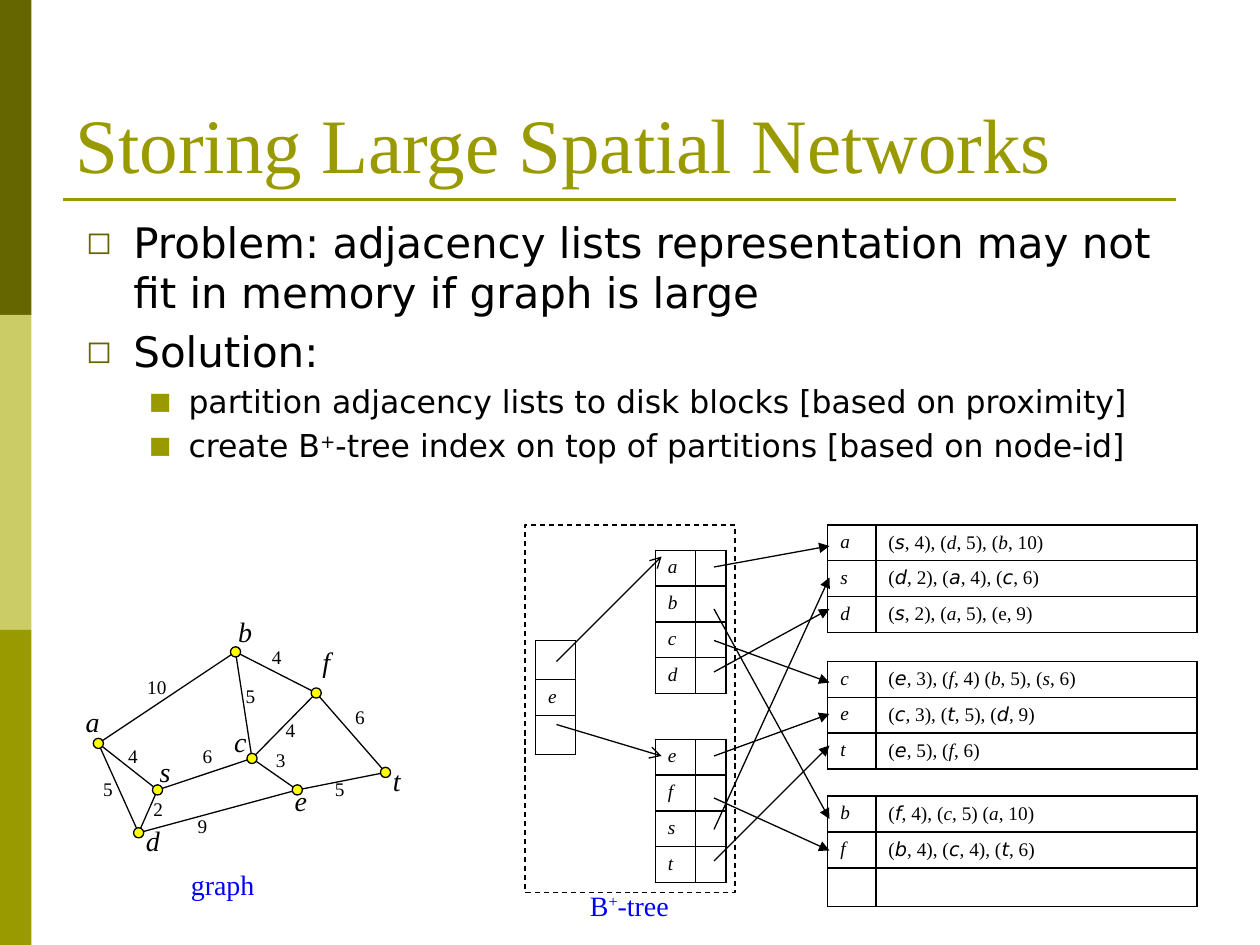
"""Build a slide on storing large spatial networks with a B+-tree index."""
from dataclasses import dataclass
from math import hypot
from typing import NamedTuple

from lxml import etree
from pptx import Presentation
from pptx.dml.color import RGBColor
from pptx.enum import dml, shapes, text
from pptx.oxml import ns
from pptx.util import Pt


@dataclass(frozen=True)
class Theme:
    serif: str = "Times New Roman"
    sans: str = "DejaVu Sans"
    black: str = "000000"
    dark: str = "666600"
    pale: str = "CCCC66"
    olive: str = "999900"
    yellow: str = "FFFF00"
    blue: str = "0000FF"
    title: float = 44
    body: float = 24
    detail: float = 18
    label: float = 16
    small: float = 11
    thin: float = 0.75


class Node(NamedTuple):
    x: float
    y: float
    label_left: float
    label_top: float


class Edge(NamedTuple):
    ends: str
    weight: str
    left: float
    top: float


class Bullet(NamedTuple):
    level: int
    content: str


class Grid(NamedTuple):
    left: float
    top: float
    columns: list
    rows: list


class Arrow(NamedTuple):
    start: tuple
    end: tuple
    head: str


THEME = Theme()
RADIUS = 2.9
ROW, EMPTY_ROW = 20.4, 22.3

NODES = {
    "a": Node(56.2, 424.8, 41.8, 399), "b": Node(134.6, 372.5, 129, 347.8),
    "c": Node(144, 433.4, 126.7, 410.4), "d": Node(79.2, 475.9, 76.3, 467.3),
    "e": Node(169.9, 451.4, 161.3, 444.2), "f": Node(180.7, 396, 177.1, 365),
    "s": Node(90, 451.4, 84.2, 427.7), "t": Node(220.3, 441.4, 217.4, 432.7),
}
EDGES = [
    Edge("ab", "10", 77, 382.3), Edge("as", "4", 66.2, 421.9), Edge("ad", "5", 51.8, 440.6),
    Edge("de", "9", 105.8, 461.5), Edge("ds", "2", 80.6, 452.2), Edge("sc", "6", 108.7, 421.9),
    Edge("bc", "5", 133.2, 387.4), Edge("bf", "4", 148.3, 365), Edge("cf", "4", 156.2, 406.8),
    Edge("ce", "3", 150.5, 424.1), Edge("et", "5", 184.3, 440.6), Edge("ft", "6", 195.8, 399.6),
]
BULLETS = [
    Bullet(0, "Problem: adjacency lists representation may not fit in memory if graph is large"),
    Bullet(0, "Solution:"),
    Bullet(1, "partition adjacency lists to disk blocks [based on proximity]"),
    Bullet(1, "create B|^+|-tree index on top of partitions [based on node-id]"),
]
BLOCK_COLUMNS, LEAF_COLUMNS = [27.5, 183.5], [23, 16.5]
GRIDS = [
    Grid(473, 300, BLOCK_COLUMNS, [
        ["*a", "(|_s|, 4), (|*d|, 5), (|*b|, 10)"],
        ["*s", "(|_d|, 2), (|_a|, 4), (|_c|, 6)"],
        ["*d", "(|_s|, 2), (|*a|, 5), (e, 9)"]]),
    Grid(473, 378, BLOCK_COLUMNS, [
        ["*c", "(|_e|, 3), (|*f|, 4) (|*b|, 5), (|*s|, 6)"],
        ["*e", "(|_c|, 3), (|_t|, 5), (|_d|, 9)"],
        ["*t", "(|_e|, 5), (|*f|, 6)"]]),
    Grid(473, 455, BLOCK_COLUMNS, [
        ["*b", "(|_f|, 4), (|*c|, 5) (|*a|, 10)"],
        ["*f", "(|_b|, 4), (|_c|, 4), (|_t|, 6)"],
        ["", ""]]),
    Grid(374.5, 314.5, LEAF_COLUMNS, [["*" + key, ""] for key in "abcd"]),
    Grid(374.5, 422.5, LEAF_COLUMNS, [["*" + key, ""] for key in "efst"]),
    Grid(306, 366, LEAF_COLUMNS[:1], [[""], ["*e"], [""]]),
]
ROOT_ARROWS = [Arrow((318, 378), (378, 318), "arrow"), Arrow((318, 414), (378, 432), "arrow")]
LEAF_TO_BLOCK = [(324, 312), (348, 468), (366, 390), (384, 348),
                 (432, 408), (456, 486), (474, 330), (492, 426)]
LEAF_ARROWS = [Arrow((408, y), (474, target), "triangle") for y, target in LEAF_TO_BLOCK]


def color(value: str) -> RGBColor:
    """Turn a hex value into a colour."""
    return RGBColor.from_string(value)


def child(parent, tag: str, **attributes: str):
    """Append a DrawingML element."""
    return etree.SubElement(parent, ns.qn(tag), attributes)


def write(paragraph, content: str, *, size: float, font: str = THEME.serif,
          fill: str = THEME.black, italic: bool = False) -> None:
    """Write runs split by bars: * is italic, _ is sans italic, ^ is superscript."""
    for part in filter(None, content.split("|")):
        mark = part[0] if part[0] in "*_^" else ""
        run = paragraph.add_run()
        run.text = part[len(mark):]
        run.font.size = Pt(size)
        run.font.name = THEME.sans if mark == "_" else font
        run.font.italic = italic or mark in ("*", "_")
        run.font.color.rgb = color(fill)
        if mark == "^":
            run.font._element.set("baseline", "30000")
    if not content:
        paragraph._p.get_or_add_endParaRPr().set("sz", str(int(size * 100)))


def place(shape, left: float, top: float, width: float, height: float) -> None:
    """Move and size a shape."""
    shape.left, shape.top, shape.width, shape.height = map(Pt, (left, top, width, height))


def add_label(slide, content: str, left: float, top: float, width: float, height: float,
              **style) -> None:
    """Add a one-line label."""
    box = slide.shapes.add_textbox(*map(Pt, (left, top, width, height)))
    box.text_frame.word_wrap = False
    write(box.text_frame.paragraphs[0], content, **style)


def add_figure(slide, kind, left: float, top: float, width: float, height: float,
               fill: str = "", line: str = ""):
    """Add a preset shape with optional fill and outline."""
    shape = slide.shapes.add_shape(kind, *map(Pt, (left, top, width, height)))
    shape.shadow.inherit = False
    for part, value in ((shape.fill, fill), (shape.line.fill, line)):
        if value:
            part.solid()
            part.fore_color.rgb = color(value)
        else:
            part.background()
    if line:
        shape.line.width = Pt(THEME.thin)
    return shape


def add_line(slide, start: tuple, end: tuple, *, head: str = "",
             stroke: str = THEME.black, width: float = THEME.thin) -> None:
    """Add a straight line, with an arrowhead if one is named."""
    connector = slide.shapes.add_connector(
        shapes.MSO_CONNECTOR.STRAIGHT, *map(Pt, (*start, *end)))
    connector.line.color.rgb = color(stroke)
    connector.line.width = Pt(width)
    properties = connector._element.spPr
    if head:
        child(properties.find(ns.qn("a:ln")), "a:tailEnd", type=head)
    child(properties, "a:effectLst")


def add_grid(slide, grid: Grid) -> None:
    """Add an outlined table."""
    heights = [ROW if any(row) else EMPTY_ROW for row in grid.rows]
    frame = slide.shapes.add_table(
        len(grid.rows), len(grid.columns),
        *map(Pt, (grid.left, grid.top, sum(grid.columns), sum(heights))))
    table = frame.table
    table.first_row = table.horz_banding = False
    for column, width in zip(table.columns, grid.columns):
        column.width = Pt(width)
    for row, height, contents in zip(table.rows, heights, grid.rows):
        row.height = Pt(height)
        for cell, content in zip(row.cells, contents):
            properties = cell._tc.get_or_add_tcPr()
            for side in "LRTB":
                border = child(properties, f"a:ln{side}", w=str(Pt(1)))
                child(child(border, "a:solidFill"), "a:srgbClr", val=THEME.black)
            cell.fill.background()
            write(cell.text_frame.paragraphs[0], content, size=THEME.small)


def add_bullet(paragraph, bullet: Bullet) -> None:
    """Format and write one list item."""
    symbol, tint, margin, hanging, size = (
        ("◻", THEME.dark, 27, 27, THEME.body), ("■", THEME.olive, 58.5, 22.5, THEME.detail),
    )[bullet.level]
    paragraph.level = bullet.level
    properties = paragraph._p.get_or_add_pPr()
    properties.set("marL", str(Pt(margin)))
    properties.set("indent", str(-Pt(hanging)))
    child(child(properties, "a:buClr"), "a:srgbClr", val=tint)
    child(properties, "a:buSzPct", val="75000")
    child(properties, "a:buFont", typeface=THEME.sans)
    child(properties, "a:buChar", char=symbol)
    write(paragraph, bullet.content, size=size, font=THEME.sans)


def add_text(slide) -> None:
    """Fill the title and body placeholders."""
    title, body = slide.shapes.title, slide.placeholders[1]
    place(title, 36, 21.6, 648, 90)
    place(body, 42, 120, 636, 378)
    for shape, anchor in ((title, text.MSO_ANCHOR.BOTTOM), (body, text.MSO_ANCHOR.TOP)):
        shape.text_frame.vertical_anchor = anchor
        shape.text_frame.auto_size = text.MSO_AUTO_SIZE.NONE
    heading = title.text_frame.paragraphs[0]
    heading.alignment = text.PP_ALIGN.LEFT
    write(heading, "Storing Large Spatial Networks", size=THEME.title, fill=THEME.olive)
    for index, bullet in enumerate(BULLETS):
        frame = body.text_frame
        add_bullet(frame.add_paragraph() if index else frame.paragraphs[0], bullet)


def add_graph(slide) -> None:
    """Draw the weighted graph."""
    for edge in EDGES:
        first, last = (NODES[key] for key in edge.ends)
        across, down = last.x - first.x, last.y - first.y
        trim = RADIUS / hypot(across, down)
        add_line(slide, (first.x + across * trim, first.y + down * trim),
                 (last.x - across * trim, last.y - down * trim))
        add_label(slide, edge.weight, edge.left, edge.top, 15 + 5.5 * len(edge.weight), 21,
                  size=THEME.small)
    for name, node in NODES.items():
        add_figure(slide, shapes.MSO_SHAPE.OVAL, node.x - RADIUS, node.y - RADIUS,
                   2 * RADIUS, 2 * RADIUS, THEME.yellow, THEME.black)
        add_label(slide, name, node.label_left, node.label_top, 24, 26.6,
                  size=THEME.label, italic=True)
    add_label(slide, "graph", 102, 492, 51, 26.6, size=THEME.label, fill=THEME.blue)


def add_index(slide) -> None:
    """Draw the B+-tree and the disk blocks it points to."""
    for grid in GRIDS:
        add_grid(slide, grid)
    outline = add_figure(slide, shapes.MSO_SHAPE.RECTANGLE, 300, 300, 120, 210, line=THEME.black)
    outline.line.dash_style = dml.MSO_LINE.DASH
    add_label(slide, "B|^+|-tree", 330, 504, 61, 26.6, size=THEME.label, fill=THEME.blue)
    for arrow in ROOT_ARROWS + LEAF_ARROWS:
        add_line(slide, arrow.start, arrow.end, head=arrow.head)


def main() -> None:
    """Build and save the presentation."""
    presentation = Presentation()
    presentation.slide_width, presentation.slide_height = Pt(720), Pt(540)
    slide = presentation.slides.add_slide(presentation.slide_layouts[1])
    for index, fill in enumerate((THEME.dark, THEME.pale, THEME.olive)):
        add_figure(slide, shapes.MSO_SHAPE.RECTANGLE, 0, 180 * index, 18, 180, fill)
    add_line(slide, (36, 114), (672, 114), stroke=THEME.olive, width=1.5)
    add_text(slide)
    add_graph(slide)
    add_index(slide)
    presentation.save("out.pptx")


if __name__ == "__main__":
    main()
